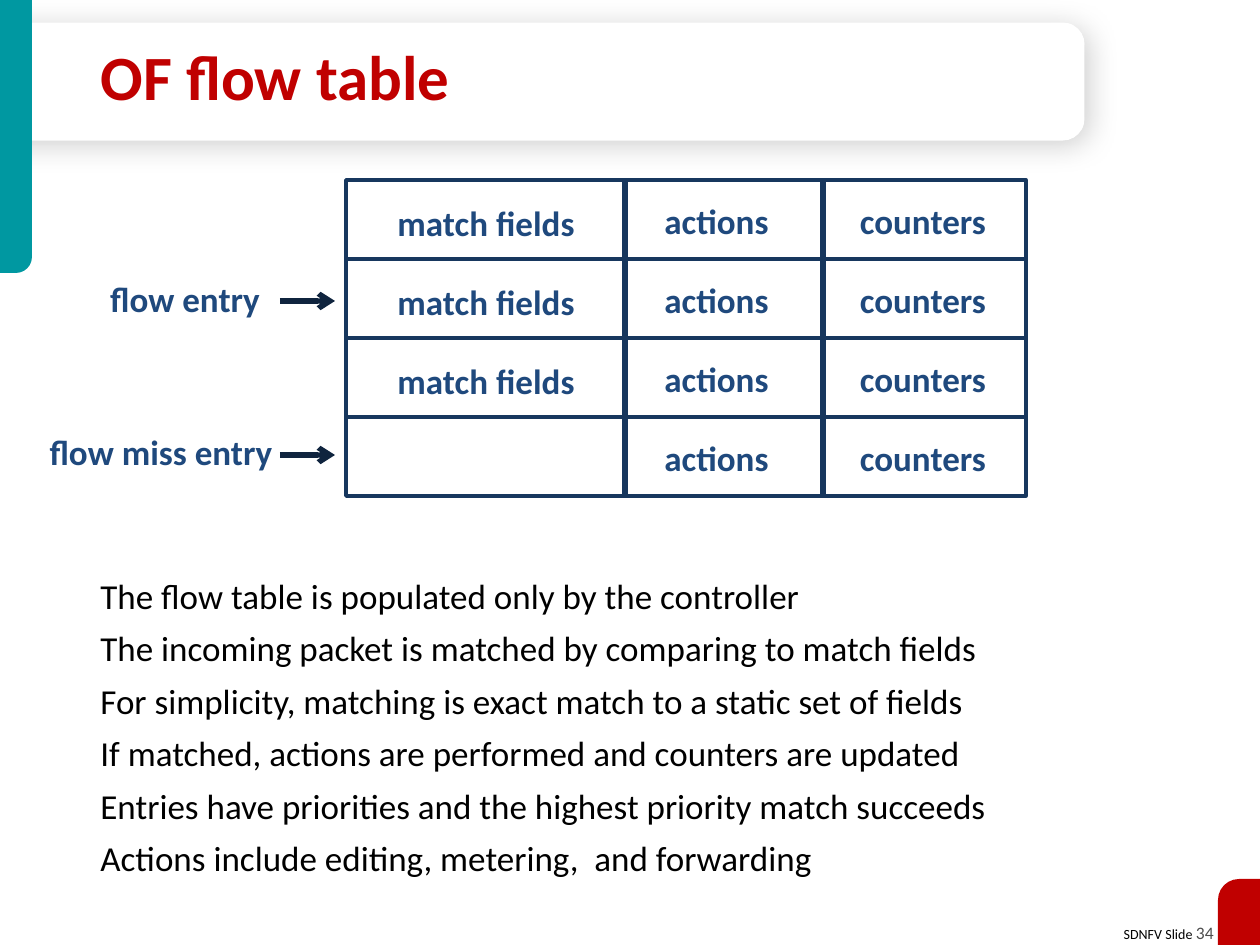
from lxml.etree import SubElement
from pptx import Presentation
from pptx.dml.color import RGBColor
from pptx.enum.shapes import MSO_CONNECTOR, MSO_SHAPE
from pptx.enum.text import MSO_ANCHOR, MSO_AUTO_SIZE, PP_ALIGN
from pptx.oxml.ns import qn
from pptx.util import Emu, Pt

SCALE = 914400 / 126
NAVY, BLUE, RED = "17375E", "1F497D", "C00000"
TOP, LEFT, WIDTH, ROW = 180, 346, 680, 79
DIVIDERS = (625, 823)
COLUMNS = ((358, 22, 256), (622, 20, 189), (847, 20, 152))  # left, drop, width
ENTRY = ("match fields", "actions", "counters")
ROWS = (ENTRY, ENTRY, ENTRY, ("",) + ENTRY[1:])
LABELS = (("flow entry", 57, 278, 301), ("flow miss entry", 33, 431, 455))
POINTS = (
    "The flow table is populated only by the controller",
    "The incoming packet is matched by comparing to match fields",
    "For simplicity, matching is exact match to a static set of fields",
    "If matched, actions are performed and counters are updated",
    "Entries have priorities and the highest priority match succeeds",
    "Actions include editing, metering,  and forwarding",
)


def px(*nums):
    return [Emu(round(n * SCALE)) for n in nums]


def color(code):
    return RGBColor.from_string(code)


def write(para, text, size=20, ink=BLUE, bold=False, align=PP_ALIGN.LEFT,
          lines=None, before=None):
    """Add a run of text to a paragraph and format both."""
    run = para.add_run()
    run.text = text
    run.font.name = "Calibri"
    run.font.size = Pt(size)
    run.font.bold = bold
    run.font.color.rgb = color(ink)
    para.alignment = align
    if lines:
        para.line_spacing = lines
    if before:
        para.space_before = Pt(before)


def add_box(slide, *box, wrap=True):
    frame = slide.shapes.add_textbox(*px(*box)).text_frame
    frame.word_wrap = wrap
    return frame


def add_label(slide, text, left, top, width):
    frame = add_box(slide, left, top, width, 49)
    write(frame.paragraphs[0], text, bold=True, align=PP_ALIGN.CENTER, lines=0.85)


def add_shape(slide, kind, box, fill=None, line=None, adjust=(), flip=None):
    shape = slide.shapes.add_shape(kind, *px(*box))
    shape.shadow.inherit = False
    for i, value in enumerate(adjust):
        shape.adjustments[i] = value
    if fill:
        shape.fill.solid()
        shape.fill.fore_color.rgb = color(fill)
    else:
        shape.fill.background()
    if line:
        shape.line.color.rgb = color(line)
        shape.line.width = Pt(2)
    else:
        shape.line.fill.background()
    if flip:
        shape.element.spPr.find(qn("a:xfrm")).set(flip, "1")
    return shape


def add_line(slide, ends, ink, arrow=False):
    line = slide.shapes.add_connector(MSO_CONNECTOR.STRAIGHT, *px(*ends))
    line.line.color.rgb = color(ink)
    line.line.width = Pt(3)
    if arrow:
        SubElement(line.line._get_or_add_ln(), qn("a:tailEnd"), type="arrow")
    SubElement(line.element.spPr, qn("a:effectLst"))


def add_shadow(shape):
    """Give the shape a soft shadow, down and to the right."""
    effects = shape.element.spPr.find(qn("a:effectLst"))
    outer = SubElement(effects, qn("a:outerShdw"), blurRad=str(Pt(17)),
                       dist=str(Pt(3)), dir=str(45 * 60000), rotWithShape="0")
    ink = SubElement(outer, qn("a:srgbClr"), val="000000")
    SubElement(ink, qn("a:alpha"), val="19000")


def add_frame(slide):
    """Draw the footer, the title band and the two corner tabs."""
    para = add_box(slide, 1108, 916, 118, 34, wrap=False).paragraphs[0]
    write(para, "SDNFV Slide ", size=8, ink="000000", align=PP_ALIGN.RIGHT)
    write(para, "34", size=10, ink="4D4D4D", align=PP_ALIGN.RIGHT)
    band = add_shape(slide, MSO_SHAPE.ROUND_2_SAME_RECTANGLE,
                     (483, -461, 118, 1085), "FFFFFF", adjust=(0.184, 0))
    band.rotation = 90
    add_shadow(band)
    for box, fill, flip in (((0, 0, 32, 273), "0098A1", "flipV"),
                            ((1218, 879, 42, 66), RED, "flipH")):
        add_shape(slide, MSO_SHAPE.ROUND_1_RECTANGLE, box, fill,
                  adjust=(0.5,), flip=flip)


def set_title(slide, text):
    title = slide.shapes.title
    title.left, title.top, title.width, title.height = px(88, 37, 932, 89)
    frame = title.text_frame
    frame.auto_size = MSO_AUTO_SIZE.NONE
    frame.vertical_anchor = MSO_ANCHOR.MIDDLE
    write(frame.paragraphs[0], text, size=36, ink=RED, bold=True, lines=0.85)
    tree = slide.shapes._spTree
    tree.remove(title.element)
    tree.append(title.element)


def add_points(slide):
    frame = add_box(slide, 88, 568, 1052, 325)
    for i, text in enumerate(POINTS):
        para = frame.add_paragraph() if i else frame.paragraphs[0]
        write(para, text, ink="000000", before=6)
        props = para._p.get_or_add_pPr()
        props.set("marL", "228600")
        props.set("indent", "-228600")


def add_row(slide, top, cells):
    add_shape(slide, MSO_SHAPE.RECTANGLE, (LEFT, top, WIDTH, ROW), line=NAVY)
    for x in DIVIDERS:
        add_line(slide, (x, top, x, top + ROW), NAVY)
    for text, (left, drop, width) in zip(cells, COLUMNS):
        if text:
            add_label(slide, text, left, top + drop, width)


def main():
    deck = Presentation()
    deck.slide_width, deck.slide_height = px(1260, 945)
    slide = deck.slides.add_slide(deck.slide_layouts[5])
    add_frame(slide)
    set_title(slide, "OF flow table")
    add_points(slide)
    for i, cells in enumerate(ROWS):
        add_row(slide, TOP + i * ROW, cells)
    for text, left, top, mid in LABELS:
        add_label(slide, text, left, top, 256)
        add_line(slide, (280, mid, 335, mid), "0F243E", arrow=True)
    deck.save("out.pptx")


if __name__ == "__main__":
    main()
